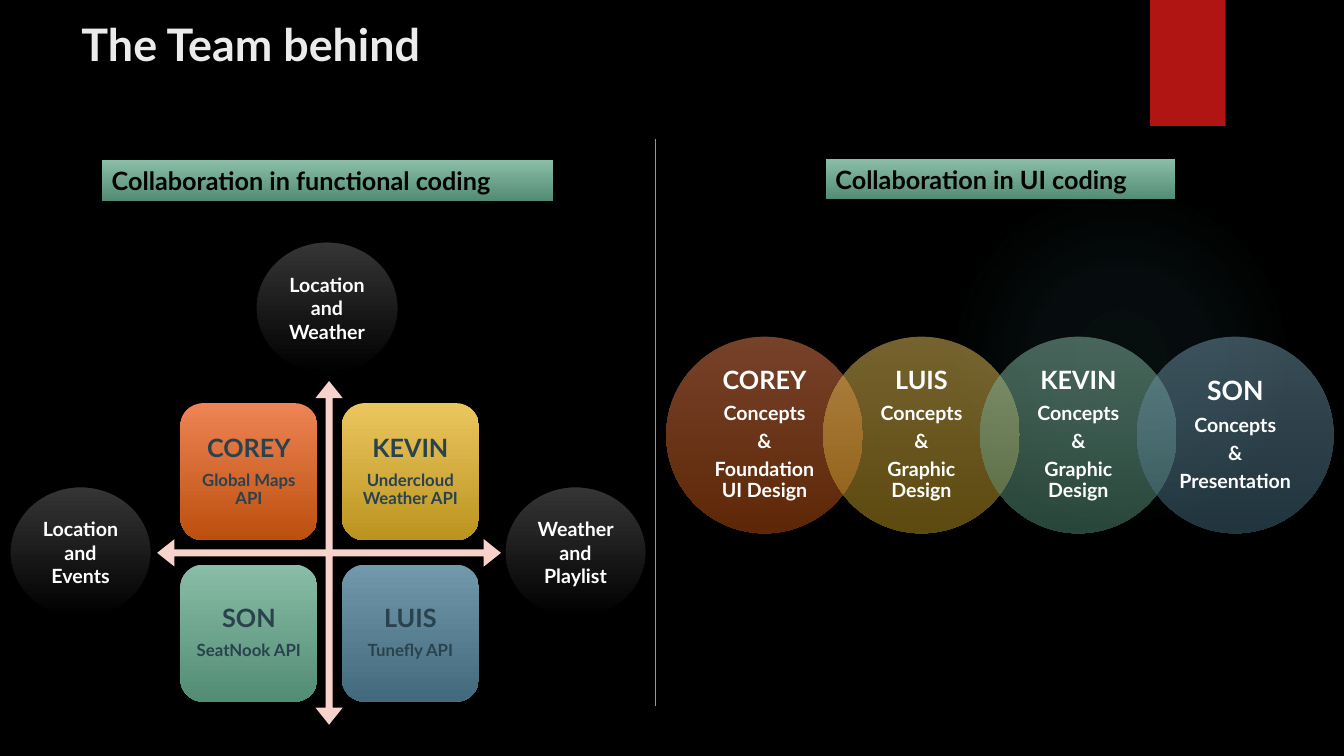
from dataclasses import dataclass

from pptx import Presentation
from pptx.dml.color import RGBColor
from pptx.enum.shapes import MSO_CONNECTOR, MSO_SHAPE
from pptx.enum.text import MSO_ANCHOR, MSO_AUTO_SIZE, PP_ALIGN
from pptx.oxml import parse_xml
from pptx.oxml.ns import nsdecls
from pptx.shapes.autoshape import Shape
from pptx.slide import Slide
from pptx.text.text import TextFrame
from pptx.util import Inches, Pt

# The slide is a grid of 160 columns by 90 rows of square cells
COLS, ROWS = 160, 90
WIDE, HIGH = Inches(13.333), Inches(7.5)

Blend = tuple[str, str]


@dataclass(frozen=True)
class Theme:
    font: str = "Lato"
    back: str = "000000"
    white: str = "FFFFFF"
    title: str = "EBEBEB"
    ink: str = "2A424D"
    red: str = "B01513"
    arrow: str = "F7D3CC"
    rule: str = "6AAC90"
    glow: str = "50B9C1"
    rust: Blend = ("EE8455", "BC4F0E")
    gold: Blend = ("EBC65F", "BB941F")
    green: Blend = ("89BDA7", "538C74")
    blue: Blend = ("7198AB", "436A7C")
    dark: Blend = ("353535", "000000")
    huge: int = 32
    large: int = 18
    mid: int = 14
    small: int = 12
    thin: float = 0.75


@dataclass(frozen=True)
class Box:
    col: float
    row: float
    wide: float
    high: float


@dataclass(frozen=True)
class Line:
    text: str
    size: float


@dataclass(frozen=True)
class Label:
    text: str
    box: Box


@dataclass(frozen=True)
class Tile:
    name: str
    task: str
    blend: Blend


@dataclass(frozen=True)
class Ring:
    name: str
    size: int
    task: str
    blend: Blend


T = Theme()

HEADS = [
    Label("Collaboration in functional coding", Box(12.12, 19.08, 53.76, 4.8)),
    Label("Collaboration in UI coding", Box(98.28, 18.96, 41.64, 4.8)),
]
ORBS = [
    Label("Location and Weather", Box(30.48, 28.8, 16.92, 15.72)),
    Label("Weather and Playlist", Box(60.12, 57.96, 16.8, 15.6)),
    Label("Location and Events", Box(1.2, 57.96, 16.8, 15.6)),
]
TILES = [
    Tile("COREY", "Global Maps API", T.rust),
    Tile("KEVIN", "Undercloud Weather API", T.gold),
    Tile("SON", "SeatNook API", T.green),
    Tile("LUIS", "Tunefly API", T.blue),
]
RINGS = [
    Ring("COREY", T.large, "Foundation UI Design", T.rust),
    Ring("LUIS", T.large, "Graphic Design", T.gold),
    Ring("KEVIN", T.large, "Graphic Design", T.green),
    Ring("SON", T.large + 1, "Presentation", T.blue),
]


def across(cols: float) -> int:
    return round(WIDE * cols / COLS)


def down(rows: float) -> int:
    return round(HIGH * rows / ROWS)


def place(box: Box) -> tuple[int, int, int, int]:
    return across(box.col), down(box.row), across(box.wide), down(box.high)


def tint(hue: str) -> RGBColor:
    return RGBColor.from_string(hue)


def draw(slide: Slide, kind: MSO_SHAPE, box: Box) -> Shape:
    shape = slide.shapes.add_shape(kind, *place(box))
    shape.shadow.inherit = False
    shape.line.fill.background()
    return shape


def flat(shape: Shape, hue: str) -> None:
    shape.fill.solid()
    shape.fill.fore_color.rgb = tint(hue)


def fade(shape: Shape, stops: list[tuple[int, str, int]], round_out: bool = False) -> None:
    """Fill with stops of (place %, colour, opacity %), downward or from the centre."""
    marks = "".join(
        f'<a:gs pos="{at * 1000}"><a:srgbClr val="{hue}">'
        f'<a:alpha val="{alpha * 1000}"/></a:srgbClr></a:gs>'
        for at, hue, alpha in stops
    )
    course = (
        '<a:path path="circle"><a:fillToRect l="50000" t="50000" r="50000" b="50000"/></a:path>'
        if round_out else '<a:lin ang="5400000" scaled="0"/>'
    )
    shape.fill.background()
    props = shape._element.spPr
    blank = props.find("{http://schemas.openxmlformats.org/drawingml/2006/main}noFill")
    props.replace(blank, parse_xml(
        f'<a:gradFill {nsdecls("a")} rotWithShape="1"><a:gsLst>{marks}</a:gsLst>{course}</a:gradFill>'
    ))


def mix(shape: Shape, blend: Blend, alpha: int = 100) -> None:
    fade(shape, [(0, blend[0], alpha), (100, blend[1], alpha)])


def write(frame: TextFrame, lines: list[Line], hue: str,
          align: PP_ALIGN = PP_ALIGN.CENTER, stacked: bool = False) -> None:
    frame.word_wrap = True
    frame.auto_size = MSO_AUTO_SIZE.NONE
    for i, line in enumerate(lines):
        para = frame.paragraphs[0] if i == 0 else frame.add_paragraph()
        para.alignment = align
        if stacked:
            para.line_spacing = 0.9
            para.space_after = Pt(0.35 * line.size)
        run = para.add_run()
        run.text = line.text
        run.font.name, run.font.size, run.font.bold = T.font, Pt(line.size), True
        run.font.color.rgb = tint(hue)


def inset(frame: TextFrame, side: float, end: float) -> None:
    frame.margin_left = frame.margin_right = Inches(side)
    frame.margin_top = frame.margin_bottom = Inches(end)


def add_frame(slide: Slide) -> None:
    # Backdrop, red tab, title
    slide.background.fill.solid()
    slide.background.fill.fore_color.rgb = tint(T.back)
    glow = draw(slide, MSO_SHAPE.OVAL, Box(112.92, 21.96, 40.92, 40.92))
    fade(glow, [(0, T.glow, 7), (36, T.glow, 6), (69, T.glow, 0)], round_out=True)
    flat(draw(slide, MSO_SHAPE.RECTANGLE, Box(136.92, 0, 9, 15)), T.red)
    title = slide.shapes.title
    title.left, title.top, title.width, title.height = place(Box(8.5, 1.44, 123.5, 9.36))
    title.text_frame.vertical_anchor = MSO_ANCHOR.TOP
    write(title.text_frame, [Line("The Team behind", T.huge)], T.title, PP_ALIGN.LEFT)


def add_heads(slide: Slide) -> None:
    for head in HEADS:
        bar = draw(slide, MSO_SHAPE.RECTANGLE, head.box)
        mix(bar, T.green)
        write(bar.text_frame, [Line(head.text, T.large)], T.back, PP_ALIGN.LEFT)
    rule = slide.shapes.add_connector(
        MSO_CONNECTOR.STRAIGHT, across(78), down(16.56), across(78), down(84))
    rule.line.color.rgb = tint(T.rule)
    rule.line.width = Pt(T.thin)
    rule._element.spPr.append(parse_xml(f'<a:effectLst {nsdecls("a")}/>'))


def add_cross(slide: Slide) -> None:
    # Four-way arrow, tiles in its quarters, orbs at its tips
    cross = draw(slide, MSO_SHAPE.QUAD_ARROW, Box(18.72, 45.36, 40.92, 40.92))
    flat(cross, T.arrow)
    for i, share in enumerate((0.02, 0.04, 0.05)):
        cross.adjustments[i] = share
    side, pitch = 16.32, 19.22
    for i, tile in enumerate(TILES):
        row, col = divmod(i, 2)
        card = draw(slide, MSO_SHAPE.ROUNDED_RECTANGLE,
                    Box(21.48 + col * pitch, 48 + row * pitch, side, side))
        mix(card, tile.blend)
        inset(card.text_frame, 0.07, 0.07)
        lines = [Line(tile.name, T.large), Line(tile.task, T.small)]
        write(card.text_frame, lines, T.ink, stacked=True)
    for orb in ORBS:
        ball = draw(slide, MSO_SHAPE.OVAL, orb.box)
        mix(ball, T.dark)
        ball.line.color.rgb = tint(T.back)
        ball.line.width = Pt(T.thin)
        write(ball.text_frame, [Line(orb.text, T.mid)], T.white)


def add_rings(slide: Slide) -> None:
    # Overlapping see-through circles
    for i, ring in enumerate(RINGS):
        disc = draw(slide, MSO_SHAPE.OVAL, Box(79.32 + i * 18.68, 40.08, 23.4, 23.4))
        mix(disc, ring.blend, 50)
        inset(disc.text_frame, 0.11, 0.03)
        lines = [Line(ring.name, ring.size)]
        lines += [Line(text, T.mid) for text in ("Concepts", "&", ring.task)]
        write(disc.text_frame, lines, T.white, stacked=True)


def main() -> None:
    deck = Presentation()
    deck.slide_width, deck.slide_height = WIDE, HIGH
    slide = deck.slides.add_slide(deck.slide_layouts[5])
    for part in (add_frame, add_cross, add_heads, add_rings):
        part(slide)
    deck.save("out.pptx")


if __name__ == "__main__":
    main()
